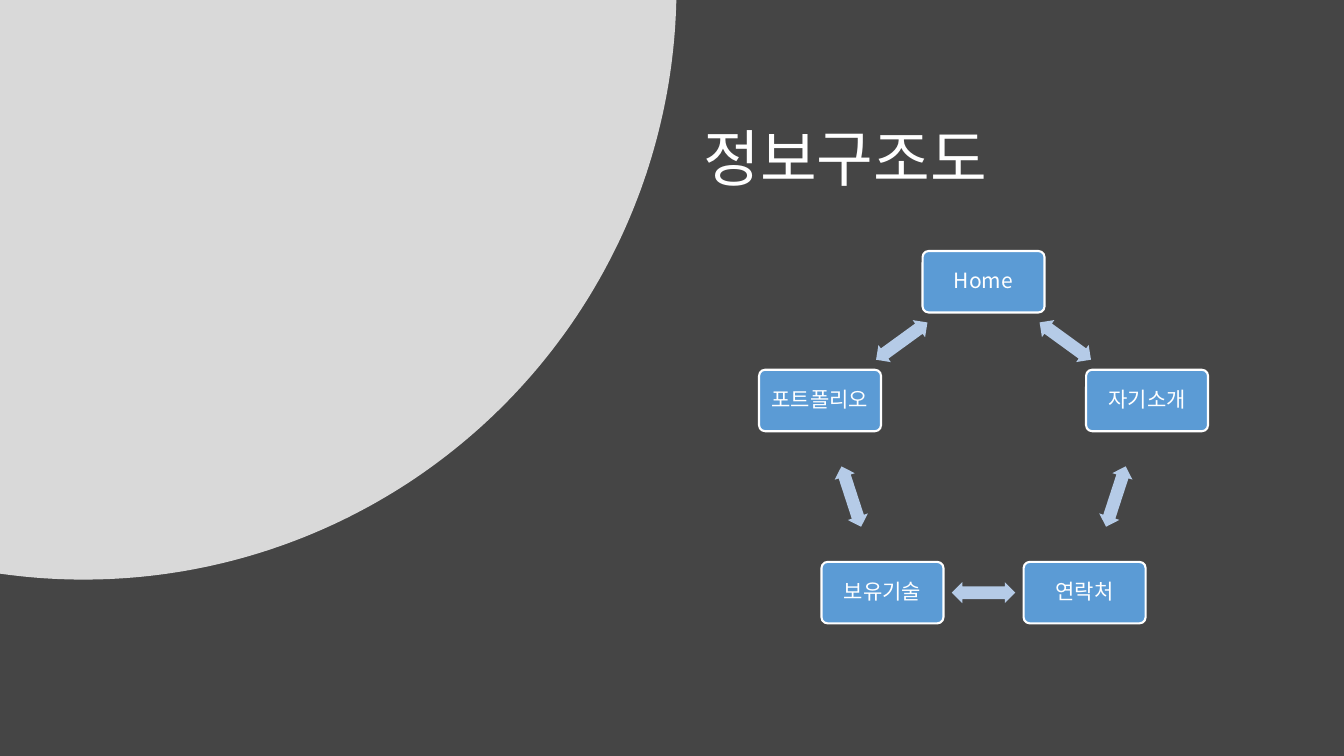
import math

from lxml import etree
from pptx import Presentation
from pptx.dml.color import RGBColor
from pptx.enum.shapes import MSO_SHAPE
from pptx.enum.text import MSO_ANCHOR, PP_ALIGN
from pptx.oxml.ns import qn
from pptx.util import Inches, Pt

ROUNDED = MSO_SHAPE.ROUNDED_RECTANGLE
DOUBLE_ARROW = MSO_SHAPE.LEFT_RIGHT_ARROW
MIDDLE = MSO_ANCHOR.MIDDLE
LEFT, CENTER = PP_ALIGN.LEFT, PP_ALIGN.CENTER

DARK = RGBColor(0x45, 0x45, 0x45)
WHITE = RGBColor(0xFF, 0xFF, 0xFF)
BLUE = RGBColor(0x5B, 0x9B, 0xD5)
PALE_BLUE = RGBColor(0xB5, 0xCB, 0xE7)
FONT = "Noto Sans CJK KR"


def write_text(shape, text, size, align=LEFT, inset_x=0.1, inset_y=0.05):
    frame = shape.text_frame
    frame.word_wrap = True
    frame.vertical_anchor = MIDDLE
    frame.margin_left = frame.margin_right = Inches(inset_x)
    frame.margin_top = frame.margin_bottom = Inches(inset_y)
    paragraph = frame.paragraphs[0]
    paragraph.alignment = align
    paragraph.line_spacing = 0.9
    run = paragraph.add_run()
    run.text = text
    run.font.size = Pt(size)
    run.font.name = FONT
    run.font.color.rgb = WHITE
    east_asian = etree.SubElement(run.font._element, qn("a:ea"))
    east_asian.set("typeface", FONT)


presentation = Presentation()
presentation.slide_width = Inches(13.33)
presentation.slide_height = Inches(7.5)
slide = presentation.slides.add_slide(presentation.slide_layouts[6])
slide.background.fill.solid()
slide.background.fill.fore_color.rgb = DARK

title = slide.shapes.add_textbox(Inches(6.88), Inches(0.88), Inches(5.75), Inches(1.45))
write_text(title, "정보구조도", 44)

disc_x, disc_y, disc_radius = 0.83, -0.13, 5.88
start = math.asin(-disc_y / disc_radius)
end = math.pi / 2 + math.asin(disc_x / disc_radius)
steps = 120
arc = []
for step in range(steps + 1):
    angle = start + (end - start) * step / steps
    arc.append((Inches(disc_x + disc_radius * math.cos(angle)),
                Inches(disc_y + disc_radius * math.sin(angle))))
builder = slide.shapes.build_freeform(0, 0)
builder.add_line_segments(arc, close=True)
disc = builder.convert_to_shape()
disc.shadow.inherit = False
disc.fill.solid()
disc.fill.fore_color.rgb = WHITE
disc.line.fill.background()
disc_color = disc._element.spPr.find(qn("a:solidFill")).find(qn("a:srgbClr"))
etree.SubElement(disc_color, qn("a:alpha")).set("val", "80000")

pages = ["Home", "자기소개", "연락처", "보유기술", "포트폴리오"]
ring_x, ring_y, ring_radius = 9.755, 4.5, 1.705
page_width, page_height = 1.21, 0.61
arrow_width, arrow_height = 0.63, 0.21
turn = 360 / len(pages)
arrow_radius = ring_radius * math.cos(math.radians(turn / 2))

for index, page in enumerate(pages):
    angle = math.radians(turn * index)
    box = slide.shapes.add_shape(
        ROUNDED,
        Inches(ring_x + ring_radius * math.sin(angle) - page_width / 2),
        Inches(ring_y - ring_radius * math.cos(angle) - page_height / 2),
        Inches(page_width), Inches(page_height))
    box.adjustments[0] = 0.1
    box.shadow.inherit = False
    box.fill.solid()
    box.fill.fore_color.rgb = BLUE
    box.line.color.rgb = WHITE
    box.line.width = Pt(1.5)
    write_text(box, page, 15, align=CENTER, inset_x=0.06, inset_y=0.06)

    rotation = turn * (index + 0.5)
    angle = math.radians(rotation)
    arrow = slide.shapes.add_shape(
        DOUBLE_ARROW,
        Inches(ring_x + arrow_radius * math.sin(angle) - arrow_width / 2),
        Inches(ring_y - arrow_radius * math.cos(angle) - arrow_height / 2),
        Inches(arrow_width), Inches(arrow_height))
    arrow.rotation = rotation
    arrow.adjustments[0] = 0.6
    arrow.adjustments[1] = 0.5
    arrow.shadow.inherit = False
    arrow.fill.solid()
    arrow.fill.fore_color.rgb = PALE_BLUE
    arrow.line.fill.background()

presentation.save("out.pptx")
